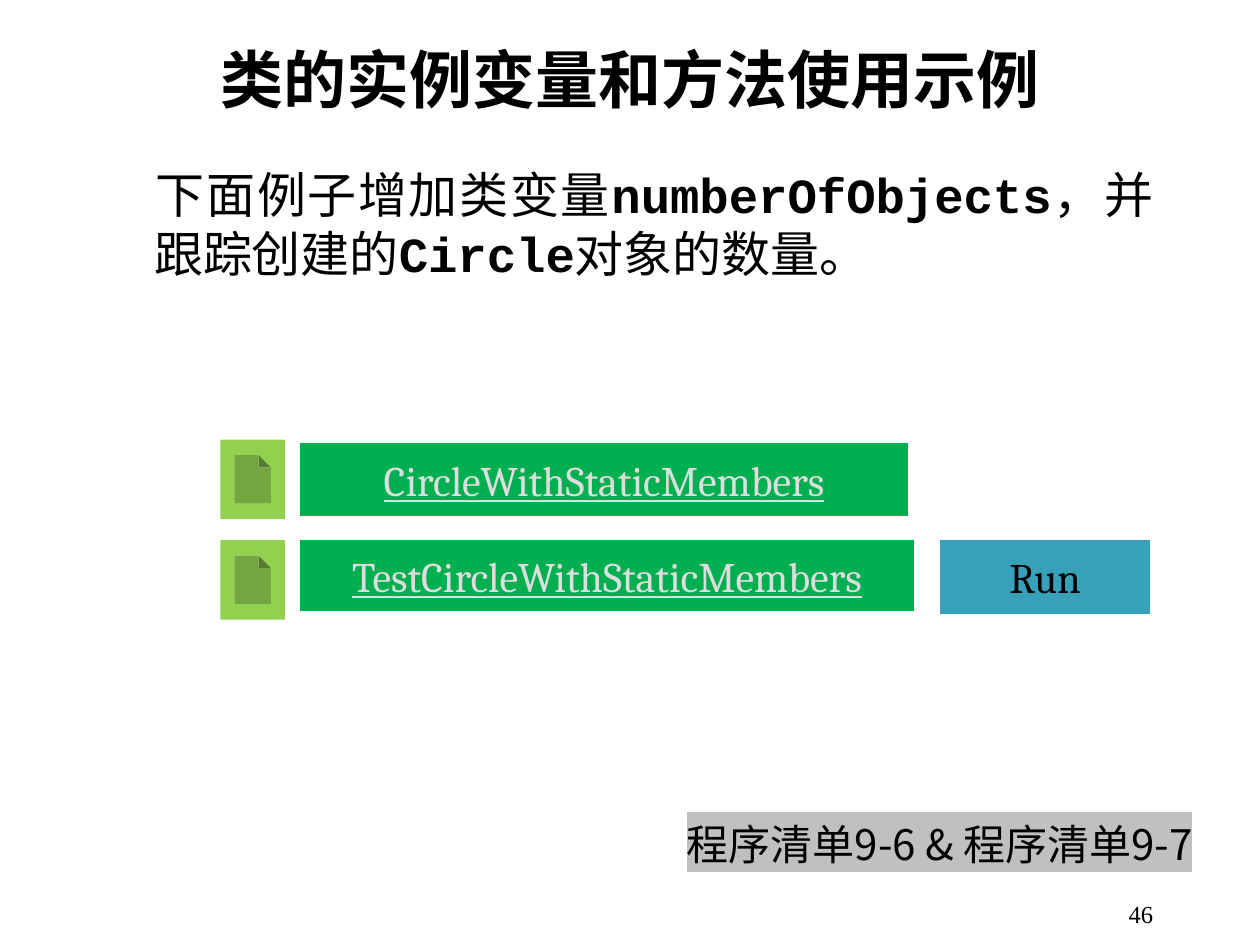
"""Build the slide on instance variables and methods of a class."""
from pptx import Presentation
from pptx.dml.color import RGBColor
from pptx.enum.shapes import MSO_SHAPE
from pptx.enum.text import MSO_ANCHOR, PP_ALIGN
from pptx.oxml.ns import qn
from pptx.util import Pt
from lxml.etree import SubElement

BLACK = RGBColor(0, 0, 0)
PALE = RGBColor(0xDD, 0xDD, 0xDD)
GREEN = RGBColor(0x00, 0xB0, 0x50)
LIME = RGBColor(0x92, 0xD0, 0x50)
BLUE = RGBColor(0x38, 0xA1, 0xBA)
GREY = RGBColor(0xC0, 0xC0, 0xC0)
HAN = "Noto Sans CJK SC"
SERIF = "Times New Roman"
MONO = "Courier New"

deck = Presentation()
deck.slide_width, deck.slide_height = Pt(720), Pt(540)
slide = deck.slides.add_slide(deck.slide_layouts[6])


def write(shape, runs, size, align, color=BLACK, anchor=MSO_ANCHOR.MIDDLE,
          wrap=True, under=None, mark=None):
    frame = shape.text_frame
    frame.word_wrap = wrap
    frame.vertical_anchor = anchor
    para = frame.paragraphs[0]
    para.alignment = align
    for text, face, bold in runs:
        run = para.add_run()
        run.text = text
        font = run.font
        font.size, font.bold, font.underline = Pt(size), bold, under
        font.color.rgb = color
        props = run._r.get_or_add_rPr()
        if mark:
            light = SubElement(props, qn("a:highlight"))
            SubElement(light, qn("a:srgbClr"), val=str(mark))
        font.name = face
        SubElement(props, qn("a:ea"), typeface=HAN)
    return para


def button(kind, left, top, width, height, fill):
    shape = slide.shapes.add_shape(kind, Pt(left), Pt(top), Pt(width), Pt(height))
    shape.shadow.inherit = False
    shape.fill.solid()
    shape.fill.fore_color.rgb = fill
    shape.line.fill.background()
    return shape


title = slide.shapes.add_textbox(Pt(54), Pt(2), Pt(612), Pt(85))
write(title, [("类的实例变量和方法使用示例", MONO, True)], 36, PP_ALIGN.CENTER)

body = slide.shapes.add_textbox(Pt(54), Pt(90), Pt(612), Pt(411))
parts = [
    ("\t下面例子增加类变量", SERIF, False),
    ("numberOfObjects", MONO, True),
    ("，并跟踪创建的", SERIF, False),
    ("Circle", MONO, True),
    ("对象的数量。", SERIF, False),
]
para = write(body, parts, 28, PP_ALIGN.JUSTIFY, anchor=MSO_ANCHOR.TOP)
para.line_spacing, para.space_before = Pt(34), Pt(2)
props = para._p.get_or_add_pPr()
props.set("marL", str(Pt(27)))
props.set("indent", str(Pt(-27)))

buttons = [
    ("CircleWithStaticMembers", 171.4, 253.2, 347.5, 41.7, GREEN, PALE, True),
    ("TestCircleWithStaticMembers", 171.4, 308.6, 350.8, 40.5, GREEN, PALE, True),
    ("Run", 537.2, 308.6, 120, 42, BLUE, BLACK, None),
]
for text, left, top, width, height, fill, color, under in buttons:
    shape = button(MSO_SHAPE.ACTION_BUTTON_CUSTOM, left, top, width, height, fill)
    write(shape, [(text, "Cambria", False)], 24, PP_ALIGN.CENTER, color,
          wrap=False, under=under)

for top in (251.2, 308.6):
    button(MSO_SHAPE.ACTION_BUTTON_DOCUMENT, 126, top, 36.8, 45.5, LIME)

label = slide.shapes.add_textbox(Pt(357), Pt(464), Pt(360), Pt(42))
write(label, [("程序清单9-6 & 程序清单9-7", HAN, False)], 24, PP_ALIGN.CENTER,
      anchor=MSO_ANCHOR.TOP, mark=GREY)

number = slide.shapes.add_textbox(Pt(516), Pt(504), Pt(150), Pt(36))
write(number, [("46", SERIF, False)], 14, PP_ALIGN.RIGHT)

deck.save("out.pptx")
